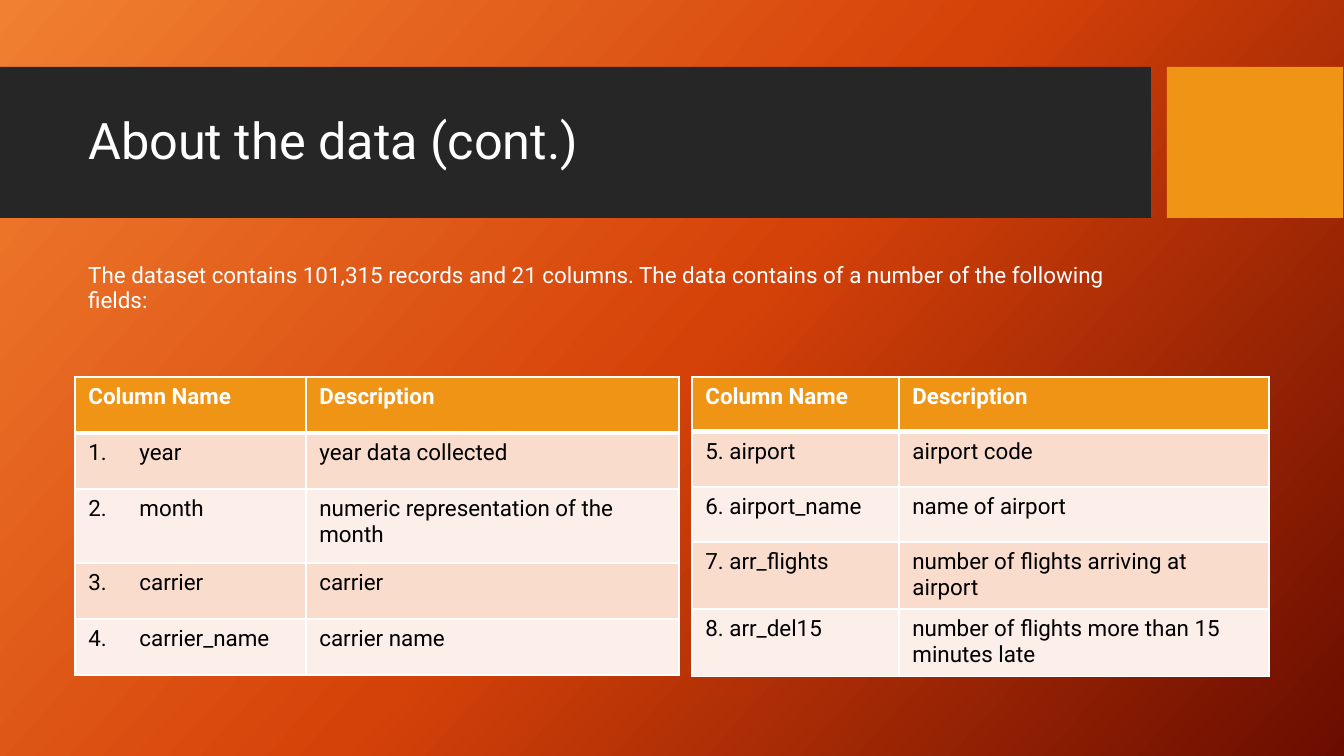
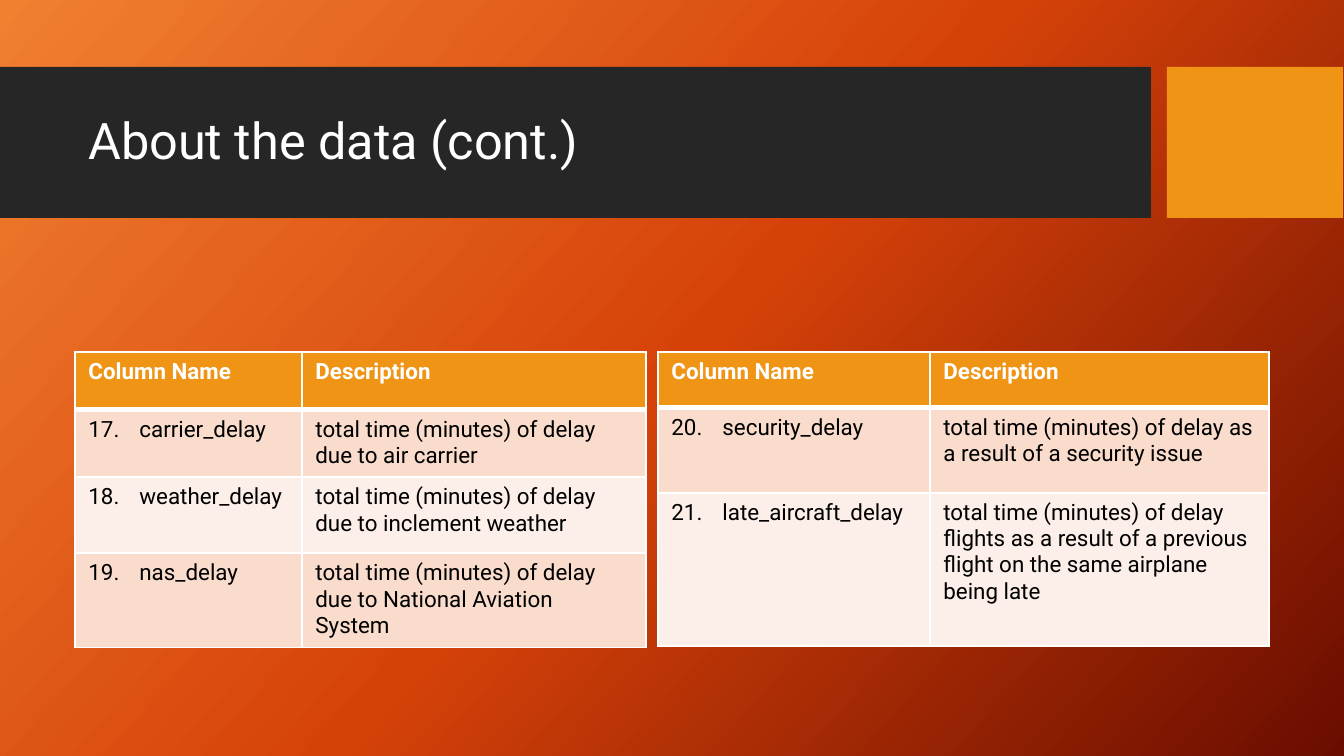
from copy import deepcopy

from lxml.etree import SubElement
from pptx import Presentation
from pptx.dml.color import RGBColor as RGB
from pptx.enum.shapes import MSO_SHAPE as SHAPE
from pptx.enum.text import MSO_ANCHOR as ANCHOR
from pptx.oxml.ns import qn
from pptx.util import Pt

WIDTH, HEIGHT = 1344, 756
PX = 9144000 / WIDTH
LEFT, RIGHT = 75, 1269
FONT = "Roboto"
COLORS = {
    "light": "F18031", "orange": "D54209", "maroon": "6A0D00",
    "band": "262626", "accent": "F09415",
    "odd": "F9DCCC", "even": "FCEEE8",
    "white": "FFFFFF", "black": "000000",
}


def px(n):
    return round(n * PX)


def rgb(name):
    return RGB.from_string(COLORS[name])


class Deck:
    """Holds the presentation style and the slide being built."""

    def __init__(self):
        self.prs = Presentation()
        self.prs.slide_width, self.prs.slide_height = px(WIDTH), px(HEIGHT)
        self.s = None

    def slide(self, title):
        self.s = self.prs.slides.add_slide(self.prs.slide_layouts[6])
        self.background("light", "orange", "maroon")
        self.rect(0, 67, 1151, 151, "band")
        self.rect(1167, 67, 176, 151, "accent")
        self.text(LEFT, 83, 1060, 120, title, 27, anchor=ANCHOR.MIDDLE)

    def background(self, *colors):
        fill = self.s.background.fill
        fill.gradient()
        fill.gradient_angle = 318
        stops = self.s.element.find(".//" + qn("a:gsLst"))
        stops.insert(1, deepcopy(stops[0]))
        for i, (stop, color) in enumerate(zip(fill.gradient_stops, colors)):
            stop.position = i / (len(colors) - 1)
            stop.color.rgb = rgb(color)

    def rect(self, x, y, w, h, color):
        sp = self.s.shapes.add_shape(SHAPE.RECTANGLE, px(x), px(y), px(w), px(h))
        sp.shadow.inherit = False
        sp.fill.solid()
        sp.fill.fore_color.rgb = rgb(color)
        sp.line.fill.background()

    def text(self, x, y, w, h, text, size, anchor=ANCHOR.TOP, before=0):
        tf = self.s.shapes.add_textbox(px(x), px(y), px(w), px(h)).text_frame
        tf.word_wrap = True
        tf.vertical_anchor = anchor
        tf.text = text
        p = tf.paragraphs[0]
        p.line_spacing = 0.9
        p.space_before = Pt(before)
        self.style(p, size, "white")

    def style(self, p, size, color, bold=False):
        for r in p.runs:
            f = r.font
            f.name, f.size, f.bold = FONT, Pt(size), bold
            f.color.rgb = rgb(color)

    def table(self, x, y, cols, heights, fields, start=None):
        """Add a field table; start is the first automatic number, if any."""
        rows = [("Column Name", "Description"), *fields]
        table = self.s.shapes.add_table(len(rows), len(cols), px(x), px(y),
                                        px(sum(cols)), px(sum(heights))).table
        table.horz_banding = False
        for col, w in zip(table.columns, cols):
            col.width = px(w)
        for i, (row, h, texts) in enumerate(zip(table.rows, heights, rows)):
            row.height = px(h)
            for cell, text in zip(row.cells, texts):
                self.cell(cell, i, text)
            if start and i:
                self.number(row.cells[0].text_frame.paragraphs[0], start + i - 1)

    def cell(self, cell, row, text):
        header = row == 0
        self.borders(cell, top=3 if row == 1 else 1, bottom=3 if header else 1)
        cell.fill.solid()
        band = "odd" if row % 2 else "even"
        cell.fill.fore_color.rgb = rgb("accent" if header else band)
        cell.text_frame.text = text
        self.style(cell.text_frame.paragraphs[0], 12,
                   "white" if header else "black", header)

    def borders(self, cell, top, bottom):
        tc_pr = cell._tc.get_or_add_tcPr()
        for side, width in (("L", 1), ("R", 1), ("T", top), ("B", bottom)):
            ln = SubElement(tc_pr, qn("a:ln" + side), w=str(Pt(width)))
            fill = SubElement(ln, qn("a:solidFill"))
            SubElement(fill, qn("a:srgbClr"), val=COLORS["white"])

    def number(self, p, start):
        p_pr = p._p.get_or_add_pPr()
        p_pr.set("marL", str(px(51)))
        p_pr.set("indent", str(-px(51)))
        SubElement(p_pr, qn("a:buAutoNum"), type="arabicPeriod", startAt=str(start))

    def table_pair(self, y, left, right):
        """Place two tables against the left and right margins."""
        self.table(LEFT, y, **left)
        self.table(RIGHT - sum(right["cols"]), y, **right)


def main():
    deck = Deck()
    title = "About the data (cont.)"

    deck.slide(title)
    deck.text(LEFT, 258, 1060, 85,
              "The dataset contains 101,315 records and 21 columns. "
              "The data contains of a number of the following fields:",
              12, before=7.5)
    deck.table_pair(
        377,
        dict(cols=(231, 373), heights=(56, 56, 74, 56, 56), start=1, fields=[
            ("year", "year data collected"),
            ("month", "numeric representation of the month"),
            ("carrier", "carrier"),
            ("carrier_name", "carrier name"),
        ]),
        dict(cols=(207, 370), heights=(55,) * 5, fields=[
            ("5. airport", "airport code"),
            ("6. airport_name", "name of airport"),
            ("7. arr_flights", "number of flights arriving at airport"),
            ("8. arr_del15", "number of flights more than 15 minutes late"),
        ]))

    deck.slide(title)
    deck.table_pair(
        352,
        dict(cols=(227, 344), heights=(58, 58, 76, 58), start=17, fields=[
            ("carrier_delay", "total time (minutes) of delay due to air carrier"),
            ("weather_delay",
             "total time (minutes) of delay due to inclement weather"),
            ("nas_delay",
             "total time (minutes) of delay due to National Aviation System"),
        ]),
        dict(cols=(272, 339), heights=(56, 85, 153), start=20, fields=[
            ("security_delay",
             "total time (minutes) of delay as a result of a security issue"),
            ("late_aircraft_delay",
             "total time (minutes) of delay flights as a result of a previous "
             "flight on the same airplane being late"),
        ]))

    deck.prs.save("out.pptx")


if __name__ == "__main__":
    main()
